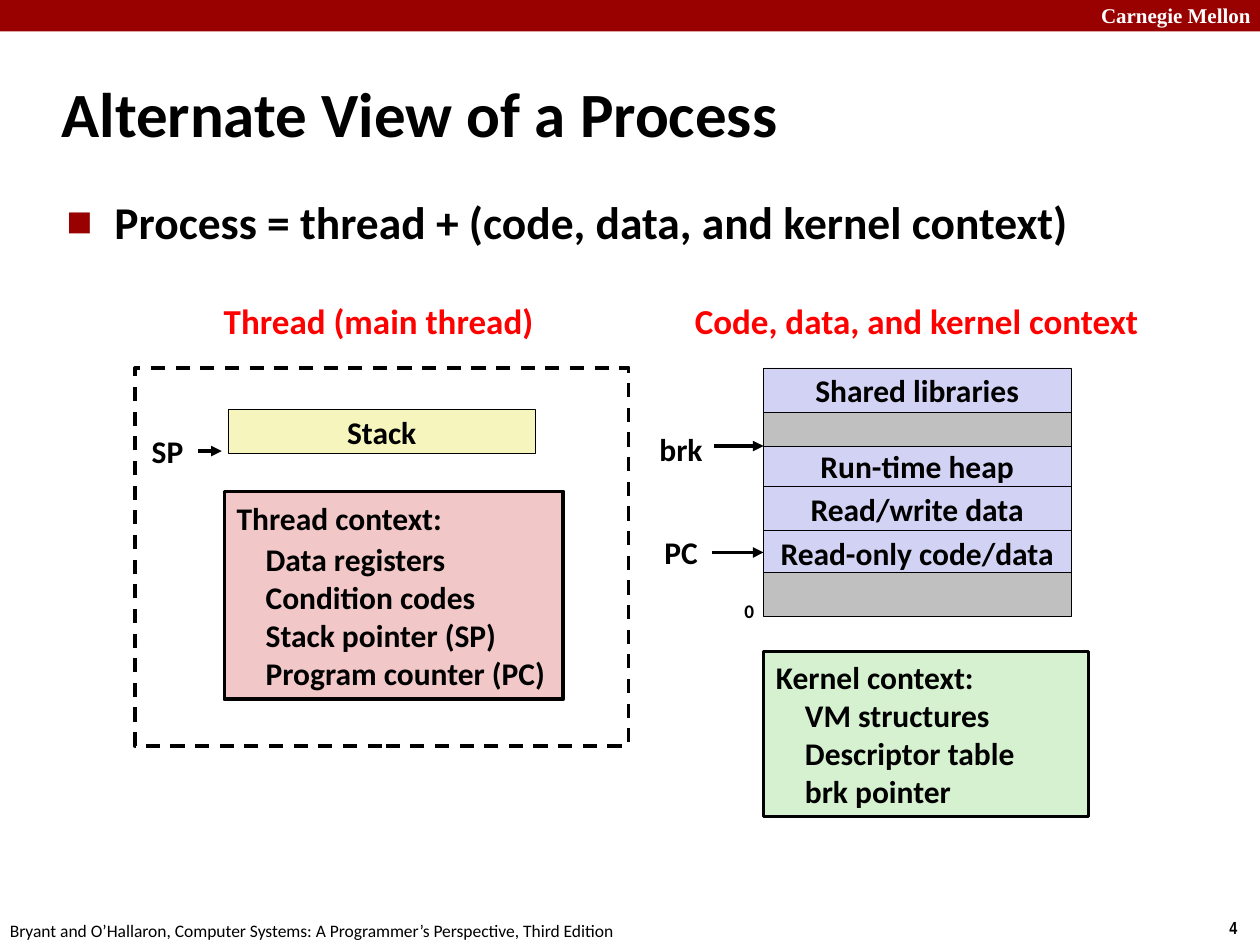
from lxml import etree
from pptx import Presentation, util as u
from pptx.dml.color import RGBColor
from pptx.enum import dml, shapes, text
from pptx.oxml.ns import qn

prs = Presentation()
prs.slide_width, prs.slide_height = u.Inches(10), u.Inches(7.5)
CELL = prs.slide_width // 100  # grid of 100 columns by 75 rows
s = prs.slides.add_slide(prs.slide_layouts[6])
rgb = RGBColor.from_string
LEFT, CENTER = text.PP_ALIGN.LEFT, text.PP_ALIGN.CENTER
TOP, MIDDLE = text.MSO_ANCHOR.TOP, text.MSO_ANCHOR.MIDDLE
LILAC, GRAY = "D2D2F4", "C0C0C0"


def box(x, y, w, h, fill=None, line=None, width=0.25):
    """Add a rectangle; without fill and line it is a text box."""
    area = [round(v * CELL) for v in (x, y, w, h)]
    if not (fill or line):
        return s.shapes.add_textbox(*area)
    sp = s.shapes.add_shape(shapes.MSO_SHAPE.RECTANGLE, *area)
    sp.shadow.inherit = False
    if fill:
        sp.fill.solid()
        sp.fill.fore_color.rgb = rgb(fill)
    else:
        sp.fill.background()
    if line:
        sp.line.color.rgb = rgb(line)
        sp.line.width = u.Pt(width)
    else:
        sp.line.fill.background()
    return sp


def write(sp, lines, size=18, color="000000", font="Calibri", bold=True,
          align=CENTER, anchor=MIDDLE, wrap=False):
    tf = sp.text_frame
    tf.word_wrap, tf.vertical_anchor = wrap, anchor
    for i, line in enumerate(lines):
        p = tf.paragraphs[0] if i == 0 else tf.add_paragraph()
        p.alignment = align
        r = p.add_run()
        r.text = line
        r.font.size, r.font.bold, r.font.name = u.Pt(size), bold, font
        r.font.color.rgb = rgb(color)
    return tf


# Header and footer
box(0, 0, 100, 2.5, "990000")
write(box(86.4, -0.3, 14.3, 3), ["Carnegie Mellon"], 12, "FFFFFF",
      "Times New Roman", align=LEFT, anchor=TOP)
write(box(96.6, 72.3, 3.4, 2.7), ["4"], 10, font="Arial Narrow",
      align=LEFT, anchor=TOP)
write(box(-0.2, 72.5, 50.8, 2.7),
      ["Bryant and O’Hallaron, Computer Systems: "
       "A Programmer’s Perspective, Third Edition"],
      10, bold=False, align=LEFT, anchor=TOP)

# Title and bullet
write(box(3.9, 4.8, 83, 8.3), ["Alternate View of a Process"], 36,
      align=LEFT, wrap=True)
tf = write(box(4.3, 14.9, 86.4, 6),
           ["Process = thread + (code, data, and kernel context)"], 26,
           align=LEFT, anchor=TOP, wrap=True)
pPr = tf.paragraphs[0]._p.get_or_add_pPr()
pPr.set("marL", str(u.Inches(0.38)))
pPr.set("indent", str(-u.Inches(0.38)))
bullet_color = etree.SubElement(pPr, qn("a:buClr"))
etree.SubElement(bullet_color, qn("a:srgbClr"), val="990000")
etree.SubElement(pPr, qn("a:buSzPct"), val="60000")
etree.SubElement(pPr, qn("a:buFont"), typeface="Calibri")
etree.SubElement(pPr, qn("a:buChar"), char="■")

# Column headings
for x, w, heading in [(16.6, 26.9, "Thread (main thread)"),
                      (53.6, 38.3, "Code, data, and kernel context")]:
    write(box(x, 23.2, w, 4.4), [heading], 20, "FF0000")

# Thread frame and stack
frame = box(10.7, 29.2, 39.2, 30, line="000000", width=2)
frame.line.dash_style = dml.MSO_LINE.DASH
write(box(18.1, 32.5, 24.4, 3.5, "F6F5BD", "000000"), ["Stack"])

# Memory segments, from high to low addresses
segments = {}
for y, h, fill, label in [(29.2, 3.5, LILAC, "Shared libraries"),
                          (32.7, 2.8, GRAY, ""),
                          (35.4, 3.2, LILAC, "Run-time heap"),
                          (38.6, 3.5, LILAC, "Read/write data"),
                          (42.1, 3.5, LILAC, "Read-only code/data"),
                          (45.4, 3.5, GRAY, "")]:
    sp = box(60.6, y, 24.4, h, fill, "000000")
    if label:
        write(sp, [label])
        segments[label] = sp
write(box(58.1, 47.1, 2.8, 2.9), ["0"], 11, align=LEFT, anchor=TOP)

# Context boxes: a heading with indented items
for area, fill, lines, gap in [
    ((17.8, 39, 26.9, 16.5), "F1C7C7",
     ["Thread context:", "Data registers", "Condition codes",
      "Stack pointer (SP)", "Program counter (PC)"], 2),
    ((60.6, 51.7, 25.8, 13.1), "D5F1CF",
     ["Kernel context:", "VM structures", "Descriptor table",
      "brk pointer"], 0),
]:
    tf = write(box(*area, fill, "000000", 2), lines, align=LEFT, wrap=True)
    for p in tf.paragraphs[1:]:
        p._p.get_or_add_pPr().set("marL", str(u.Inches(0.23)))
    tf.paragraphs[1].space_before = u.Pt(gap)

# Pointers: label box, then arrow
for label, x, y, w, x1, x2, ya, target in [
    ("SP", 11, 33.8, 4.6, 15.7, 17.6, 35.8, None),
    ("brk", 51.3, 33.6, 5.5, 56.7, 60.6, 35.4, None),
    ("PC", 51.7, 41.8, 4.7, 56.5, 60.6, 43.85, "Read-only code/data"),
]:
    write(box(x, y, w, 4), [label])
    arrow = s.shapes.add_connector(
        shapes.MSO_CONNECTOR.STRAIGHT,
        *[round(v * CELL) for v in (x1, ya, x2, ya)])
    if target:
        arrow.end_connect(segments[target], 1)
    arrow.line.color.rgb = rgb("000000")
    arrow.line.width = u.Pt(2)
    etree.SubElement(arrow.line._get_or_add_ln(), qn("a:tailEnd"),
                     type="triangle")
    etree.SubElement(arrow._element.spPr, qn("a:effectLst"))

prs.save("out.pptx")
